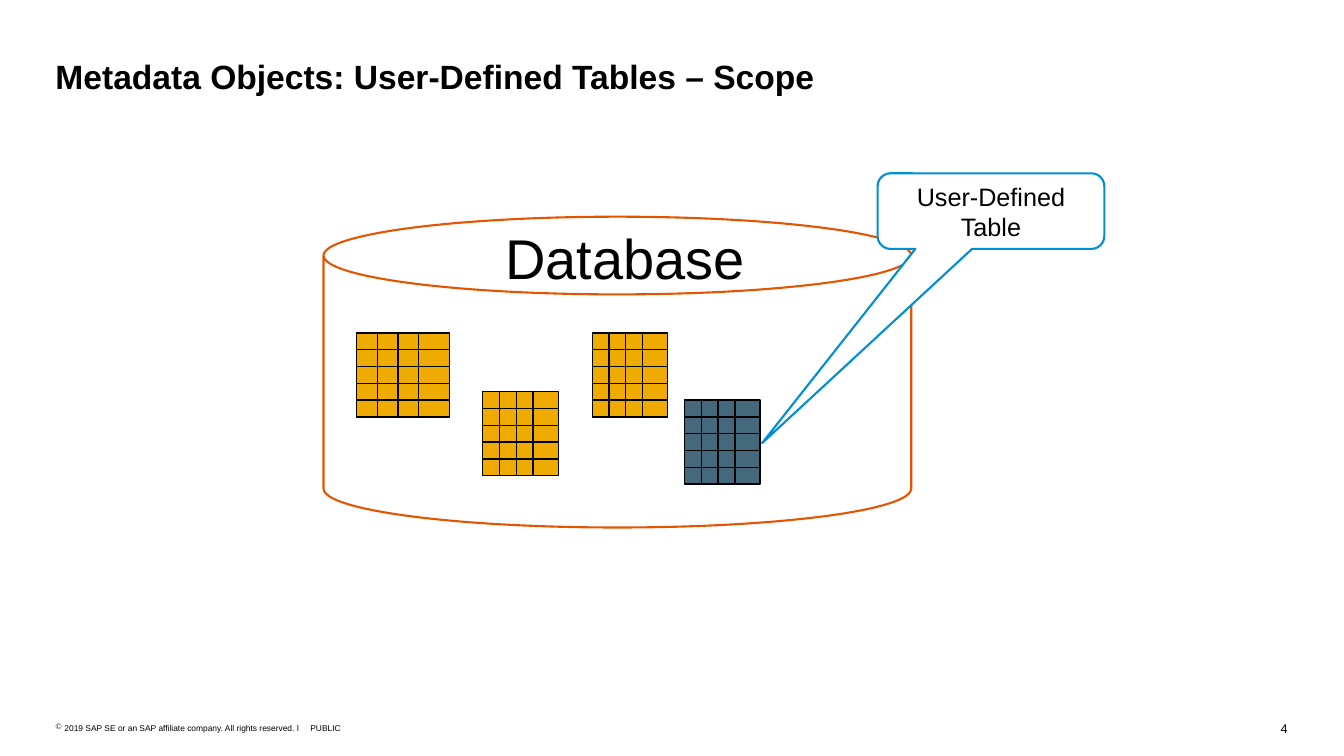
from itertools import product
from lxml.etree import SubElement
from pptx import Presentation
from pptx.dml.color import RGBColor
from pptx.enum.shapes import MSO_SHAPE as SHAPE
from pptx.enum.text import MSO_ANCHOR as ANCHOR, PP_ALIGN as ALIGN
from pptx.oxml.ns import qn
from pptx.util import Pt

BLACK, WHITE = "000000", "FFFFFF"
ORANGE, BLUE = "E35500", "008FD3"
GOLD, SLATE = "F0AB00", "44697D"


def style_shape(shape, fill, line, line_width):
    shape.shadow.inherit = False
    shape.fill.solid()
    shape.fill.fore_color.rgb = RGBColor.from_string(fill)
    shape.line.color.rgb = RGBColor.from_string(line)
    shape.line.width = Pt(line_width)


def write_text(shape, text, size, align=ALIGN.LEFT, anchor=ANCHOR.TOP, inset=0, wrap=True):
    """Fill the shape with one black Arial paragraph and return the paragraph."""
    frame = shape.text_frame
    frame.word_wrap = wrap
    frame.vertical_anchor = anchor
    frame.margin_left = frame.margin_right = Pt(inset)
    frame.margin_top = frame.margin_bottom = Pt(inset)
    paragraph = frame.paragraphs[0]
    paragraph.text = text
    paragraph.alignment = align
    paragraph.font.name = "Arial"
    paragraph.font.size = Pt(size)
    paragraph.font.color.rgb = RGBColor.from_string(BLACK)
    return paragraph


presentation = Presentation()
presentation.slide_width = Pt(960.5)
presentation.slide_height = Pt(540)
slide = presentation.slides.add_slide(presentation.slide_layouts[5])
shapes = slide.shapes

# Title
title = shapes.title
title.left, title.top, title.width, title.height = Pt(39.6), Pt(39.6), Pt(880.5), Pt(29)
heading = write_text(title, "Metadata Objects: User-Defined Tables – Scope", 24, anchor=ANCHOR.MIDDLE)
heading.font.bold = True

# Database cylinder
database = shapes.add_shape(SHAPE.CAN, Pt(231.2), Pt(154.8), Pt(420), Pt(222))
database.adjustments[0] = 0.25
style_shape(database, WHITE, ORANGE, 1.5)

# Table icons: overlapping cells, so the last column looks wider
ROWS, COLUMNS, ROW_HEIGHT = 5, 4, 12
icons = [
    # left, top, column step, fill
    (255, 237.8, 14.7, GOLD),
    (345, 279.8, 12, GOLD),
    (423.2, 237.8, 12, GOLD),
    (489.2, 285.8, 12, SLATE),
]
for left, top, step, fill in icons:
    icon = shapes.add_group_shape()
    for row, column in product(range(ROWS), range(COLUMNS)):
        cell = icon.shapes.add_shape(
            SHAPE.RECTANGLE, Pt(left + column * step), Pt(top + row * ROW_HEIGHT),
            Pt(step * 1.5), Pt(ROW_HEIGHT))
        style_shape(cell, fill, BLACK, 1)

# Callout pointing at the user-defined table
callout = shapes.add_shape(SHAPE.ROUNDED_RECTANGULAR_CALLOUT, Pt(627.2), Pt(123.8), Pt(162), Pt(54))
for index, value in enumerate((-1.01, 3.07, 0.17)):
    callout.adjustments[index] = value
style_shape(callout, WHITE, BLUE, 1.5)
write_text(callout, "User-Defined Table", 18, ALIGN.CENTER, ANCHOR.MIDDLE, inset=2.9)

database_label = shapes.add_textbox(Pt(300.2), Pt(160), Pt(293), Pt(48))
write_text(database_label, "Database", 40, ALIGN.CENTER)

# Footer
copyright_box = shapes.add_textbox(Pt(39.6), Pt(516.2), Pt(178.6), Pt(7.2))
copyright_line = write_text(
    copyright_box, "2019 SAP SE or an SAP affiliate company. All rights reserved. ǀ", 6)
properties = copyright_line._p.get_or_add_pPr()
properties.set("marL", str(Pt(6.5)))
properties.set("indent", str(-Pt(6.5)))
bullet = SubElement(properties, qn("a:buChar"))
bullet.set("char", "©")
properties.insert(0, bullet)

classification = shapes.add_textbox(Pt(221.8), Pt(516.2), Pt(22.3), Pt(7.2))
write_text(classification, "PUBLIC", 6, wrap=False)

page_number = shapes.add_textbox(Pt(909.4), Pt(514.8), Pt(10.8), Pt(10.8))
write_text(page_number, "4", 9, ALIGN.RIGHT, wrap=False)

presentation.save("out.pptx")
